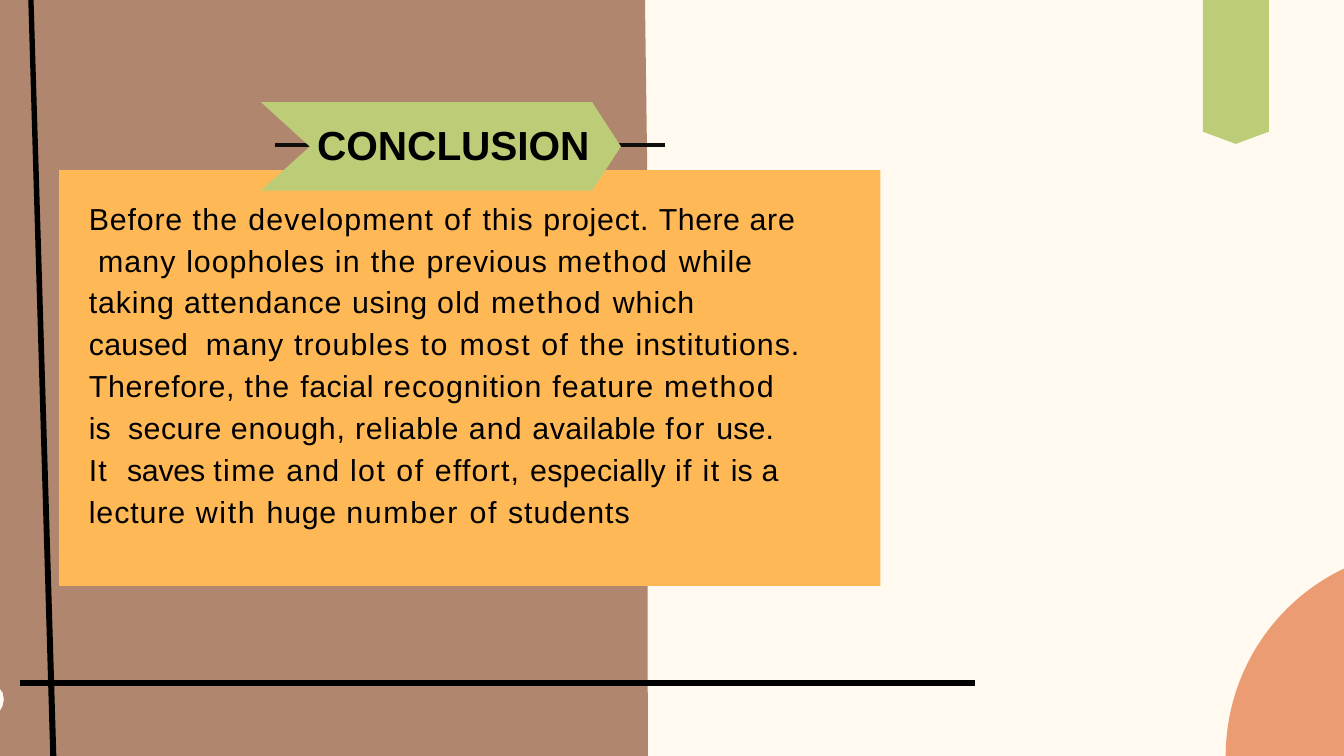
import math

import lxml.etree
import pptx
import pptx.dml.color
import pptx.enum.shapes
import pptx.enum.text
import pptx.oxml.ns
import pptx.util

Cm, Pt = pptx.util.Cm, pptx.util.Pt

# Content: phrases paired with their letter spacing in points
TITLE = [[("CONCLUSION", -0.1)]]
CONCLUSION = [
    [("Before ", 0.9), ("the ", 1.4), ("development ", 1.2), ("of ", 1.7),
     ("this ", 1.1), ("project. ", 0.9), ("There ", 0.5), ("are  ", 0.8),
     ("many ", 1.2), ("loopholes ", 1.1), ("in the ", 1.4), ("previous ", 0.9),
     ("method ", 1.8), ("while  ", 1.1), ("taking attendance ", 0.9),
     ("using ", 0.7), ("old ", 1.4), ("method ", 1.8), ("which ", 1.1),
     ("caused  ", 0.3), ("many troubles ", 1.2), ("to ", 1.9), ("most ", 1.6),
     ("of ", 1.7), ("the ", 1.4), ("institutions.", 1.1)],
    [("Therefore, ", 0.7), ("the ", 1.4), ("facial ", 0.5), ("recognition ", 1.1),
     ("feature ", 1.2), ("method ", 1.8), ("is  ", 0.1), ("secure ", 0.5),
     ("enough, ", 0.8), ("reliable ", 0.9), ("and ", 1.2), ("available ", 0.5),
     ("for ", 1.9), ("use. ", 0.1), ("It  ", 1.2), ("saves ", -0.3),
     ("time ", 1.6), ("and ", 1.2), ("lot ", 1.6), ("of ", 1.7),
     ("effort, ", 1.3), ("especially ", 0.3), ("if ", 1.4), ("it ", 1.7),
     ("is ", 0.1), ("a  ", 0), ("lecture ", 1), ("with ", 1.8),
     ("huge ", 0.8), ("number ", 1.8), ("of ", 1.7), ("students", 1.1)],
]

THEME = {
    "font": "Arial", "title_size": 43.5, "body_size": 32.5,
    "cream": "FFF9EF", "brown": "B1866F", "black": "000000", "ink": "0F0E0D",
    "orange": "FFB856", "green": "BCCC77", "coral": "EC9C73",
}

# Geometry in centimetres
WIDTH, HEIGHT = 50.8, 28.58
SUN_X, SUN_RADIUS = 54.18, 7.85
SUN_STEPS = 40
BROWN_SIDE = [(0, 0), (24.38, 0), (24.49, 8.3), (24.46, 15.7), (24.49, HEIGHT),
              (0, HEIGHT), (0, 26.87), (0.1, 26.7), (0.15, 26.44),
              (0.1, 26.18), (0, 26.04)]
SLANTED_BAR = [(1.07, 0), (1.27, 0), (2.13, HEIGHT), (1.9, HEIGHT)]
PENNANT = [(45.47, 0), (47.96, 0), (47.96, 4.98), (46.71, 5.44), (45.47, 4.98)]
RIBBON = [(9.86, 3.86), (22.38, 3.86), (23.47, 5.54), (22.38, 7.21),
          (9.86, 7.21), (11.71, 5.54)]
PANEL = (2.24, 6.43, 31.04, 15.72)
TITLE_BOX = (11.96, 4.5, 10.39, 1.93)
BODY_BOX = (3.33, 7.32, 26.97, 12.78)


def color(name):
    return pptx.dml.color.RGBColor.from_string(THEME[name])


def paint(shape, fill):
    shape.shadow.inherit = False
    shape.fill.solid()
    shape.fill.fore_color.rgb = color(fill)
    shape.line.fill.background()


def add_outline(slide, points, fill):
    corners = [(Cm(x), Cm(y)) for x, y in points]
    builder = slide.shapes.build_freeform(*corners[0])
    builder.add_line_segments(corners[1:], close=True)
    paint(builder.convert_to_shape(), fill)


def add_rule(slide, left, right, y, weight, stroke):
    rule = slide.shapes.add_connector(
        pptx.enum.shapes.MSO_CONNECTOR.STRAIGHT, Cm(left), Cm(y), Cm(right), Cm(y))
    rule.line.width = Pt(weight)
    rule.line.color.rgb = color(stroke)
    lxml.etree.SubElement(rule.element.spPr, pptx.oxml.ns.qn("a:effectLst"))


def add_text(slide, box, content, size, bold=False, line_spacing=1.0,
             space_before=1, inset_top=0.03):
    frame = slide.shapes.add_textbox(*map(Cm, box)).text_frame
    frame.word_wrap = True
    frame.vertical_anchor = pptx.enum.text.MSO_ANCHOR.TOP
    frame.margin_left = frame.margin_right = frame.margin_bottom = 0
    frame.margin_top = Cm(inset_top)
    for index, phrases in enumerate(content):
        paragraph = frame.add_paragraph() if index else frame.paragraphs[0]
        paragraph.line_spacing = line_spacing
        paragraph.space_before = Pt(0 if index else space_before)
        paragraph._p.get_or_add_pPr().set("marL", str(Cm(0.03)))
        for phrase, spacing in phrases:
            run = paragraph.add_run()
            run.text = phrase
            run.font.name = THEME["font"]
            run.font.size = Pt(THEME[size])
            run.font.bold = bold
            run.font.color.rgb = color("black")
            run.font._element.set("spc", str(round(spacing * 100)))


def sun_points():
    """Visible part of a circle centred past the lower right corner."""
    sweep = math.acos((SUN_X - WIDTH) / SUN_RADIUS)
    angles = [sweep * step / SUN_STEPS for step in range(SUN_STEPS + 1)]
    arc = [(SUN_X - SUN_RADIUS * math.cos(a), HEIGHT - SUN_RADIUS * math.sin(a))
           for a in angles]
    return [(WIDTH, HEIGHT)] + arc


def main():
    deck = pptx.Presentation()
    deck.slide_width, deck.slide_height = Cm(WIDTH), Cm(HEIGHT)
    slide = deck.slides.add_slide(deck.slide_layouts[6])
    slide.background.fill.solid()
    slide.background.fill.fore_color.rgb = color("cream")

    # Backdrop
    add_outline(slide, sun_points(), "coral")
    add_outline(slide, PENNANT, "green")
    add_outline(slide, BROWN_SIDE, "brown")
    add_outline(slide, SLANTED_BAR, "black")

    # Conclusion panel
    panel = slide.shapes.add_shape(
        pptx.enum.shapes.MSO_SHAPE.RECTANGLE, *map(Cm, PANEL))
    paint(panel, "orange")
    add_text(slide, BODY_BOX, CONCLUSION, "body_size", line_spacing=1.15)

    # Rules and title ribbon
    add_rule(slide, 0.74, 36.86, 25.83, 6.75, "black")
    add_rule(slide, 10.39, 25.12, 5.49, 3.75, "ink")
    add_outline(slide, RIBBON, "green")
    add_text(slide, TITLE_BOX, TITLE, "title_size", bold=True,
             space_before=1.1, inset_top=0.05)

    deck.save("out.pptx")


if __name__ == "__main__":
    main()
